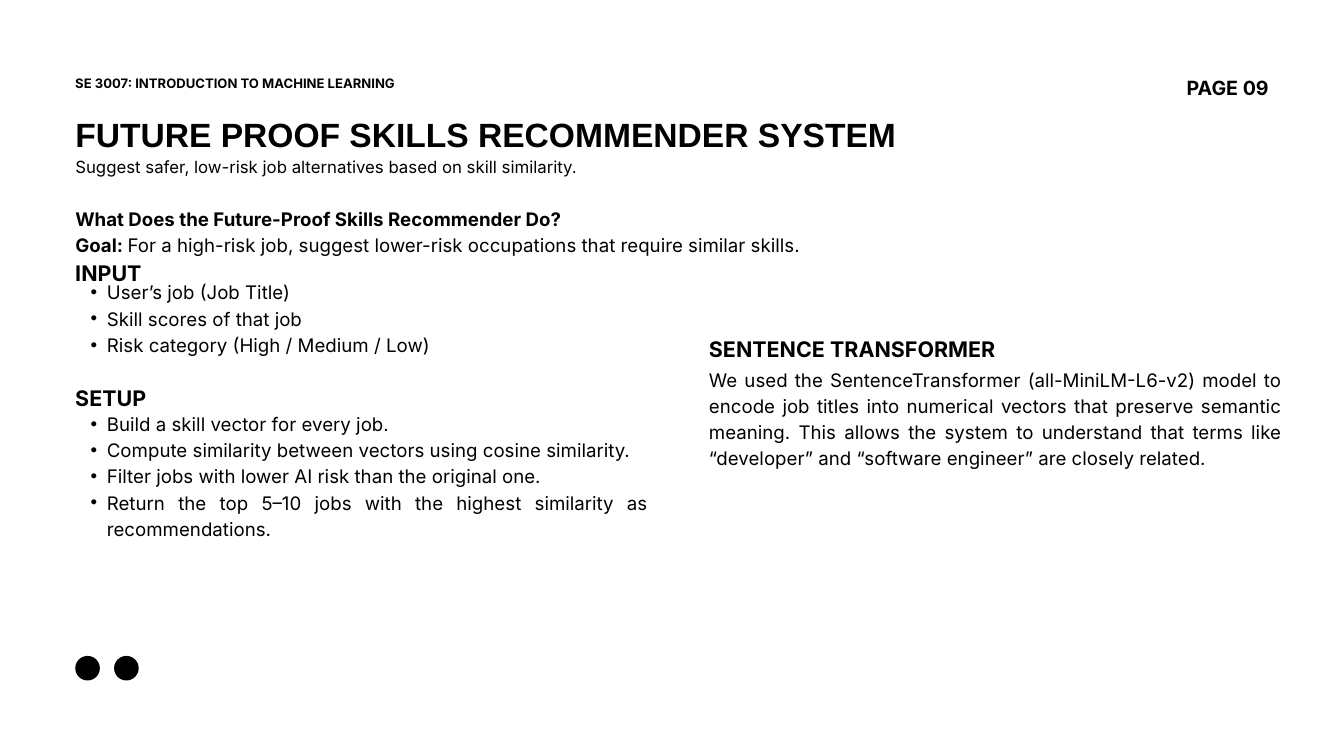
import pptx
import pptx.dml.color
import pptx.enum.shapes
import pptx.enum.text
import pptx.oxml
import pptx.oxml.ns
import pptx.util

WIDTH, HEIGHT = pptx.util.Inches(20), pptx.util.Inches(11.25)
LEFT, RIGHT = 5.6, 52.75
WIDE, COLUMN, LABEL = 65.25, 42.6, 21.7
BLACK = "000000"
LEADING = 1.4
ALIGN = pptx.enum.text.PP_ALIGN


def across(percent):
    """Turn a percentage of the slide width into a length."""
    return round(WIDTH * percent / 100)


def down(percent):
    """Turn a percentage of the slide height into a length."""
    return round(HEIGHT * percent / 100)


def colour(value):
    """Turn a hex string into a colour."""
    return pptx.dml.color.RGBColor.from_string(value)


def add_bullet(para):
    """Give a paragraph a hanging round bullet."""
    para.level = 1
    properties = para._p.get_or_add_pPr()
    properties.set("marL", str(pptx.util.Inches(0.47)))
    properties.set("indent", str(pptx.util.Inches(-0.24)))
    for tag, name, value in (("buFont", "typeface", "Arial"), ("buChar", "char", "•")):
        mark = pptx.oxml.parse_xml(f'<a:{tag} {pptx.oxml.ns.nsdecls("a")} {name}="{value}"/>')
        properties.append(mark)


def add_text(page, place, *lines, size=20, font="Inter", bold=False, align=ALIGN.JUSTIFY,
             bullets=False, lead=""):
    """Write one paragraph per line, the first opened by an optional bold lead."""
    left, top, width, height = place
    box = page.shapes.add_textbox(across(left), down(top), across(width), down(height))
    frame = box.text_frame
    frame.word_wrap = True
    frame.auto_size = pptx.enum.text.MSO_AUTO_SIZE.SHAPE_TO_FIT_TEXT
    frame.margin_left = frame.margin_right = frame.margin_top = frame.margin_bottom = 0
    for index, line in enumerate(lines):
        para = frame.add_paragraph() if index else frame.paragraphs[0]
        para.alignment = align
        para.line_spacing = pptx.util.Pt(size * LEADING)
        if bullets:
            add_bullet(para)
        pieces = [(line, bold)]
        if lead and index == 0:
            pieces.insert(0, (lead, True))
        for text, heavy in pieces:
            span = para.add_run()
            span.text = text
            span.font.name = font
            span.font.size = pptx.util.Pt(size)
            span.font.bold = heavy
            span.font.color.rgb = colour(BLACK)


def add_heading(page, left, top, text):
    """Write a section heading."""
    add_text(page, (left, top, LABEL, 3.82), text, size=23, bold=True, align=ALIGN.LEFT)


def add_dots(page, count, left, top, size, step):
    """Draw a row of equally spaced black dots."""
    for index in range(count):
        dot = page.shapes.add_shape(pptx.enum.shapes.MSO_SHAPE.OVAL, across(left + index * step),
                                    down(top), across(size), across(size))
        dot.shadow.inherit = False
        dot.fill.solid()
        dot.fill.fore_color.rgb = colour(BLACK)
        dot.line.fill.background()


def main():
    """Build the recommender slide and save it."""
    deck = pptx.Presentation()
    deck.slide_width, deck.slide_height = WIDTH, HEIGHT
    page = deck.slides.add_slide(deck.slide_layouts[6])

    add_dots(page, 2, LEFT, 86.76, 1.83, 2.89)
    add_text(page, (LEFT, 9.69, 38.35, 4.8), "SE 3007: INTRODUCTION TO MACHINE LEARNING",
             size=14, bold=True, align=ALIGN.LEFT)
    add_text(page, (86.8, 9.51, 7.6, 3.56), "PAGE 09", size=21, bold=True, align=ALIGN.RIGHT)
    add_text(page, (LEFT, 14.22, WIDE, 6.04), "FUTURE PROOF SKILLS RECOMMENDER SYSTEM",
             size=36, font="Arial", bold=True, align=ALIGN.LEFT)
    add_text(page, (LEFT, 20.27, WIDE, 3.02),
             "Suggest safer, low-risk job alternatives based on skill similarity.", size=18)
    add_text(page, (LEFT, 27.02, WIDE, 3.29),
             "What Does the Future-Proof Skills Recommender Do?", bold=True)
    add_text(page, (LEFT, 30.49, WIDE, 3.29),
             "For a high-risk job, suggest lower-risk occupations that require similar skills.",
             lead="Goal: ")

    add_heading(page, LEFT, 33.78, "INPUT")
    add_text(page, (LEFT, 36.71, COLUMN, 13.6),
             "User’s job (Job Title)",
             "Skill scores of that job",
             "Risk category (High / Medium / Low)", bullets=True)
    add_heading(page, LEFT, 50.31, "SETUP")
    add_text(page, (LEFT, 54.13, COLUMN, 20.44),
             "Build a skill vector for every job.",
             "Compute similarity between vectors using cosine similarity.",
             "Filter jobs with lower AI risk than the original one.",
             "Return the top 5–10 jobs with the highest similarity as recommendations.",
             bullets=True)
    add_heading(page, RIGHT, 43.82, "SENTENCE TRANSFORMER")
    add_text(page, (RIGHT, 48.27, COLUMN, 13.6),
             "We used the SentenceTransformer (all-MiniLM-L6-v2) model to encode job titles into "
             "numerical vectors that preserve semantic meaning. This allows the system to "
             "understand that terms like “developer” and “software engineer” are closely related.")
    deck.save("out.pptx")


if __name__ == "__main__":
    main()
